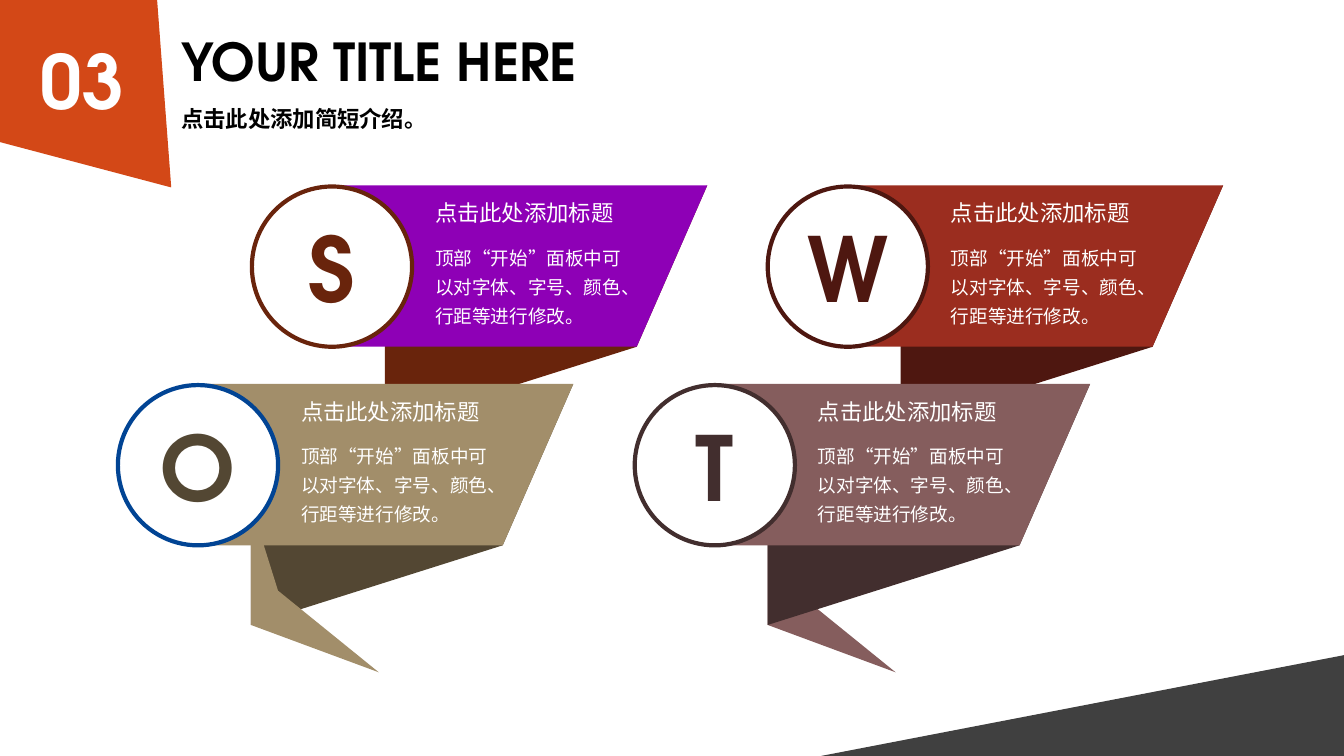
from pptx import Presentation
from pptx.dml.color import RGBColor
from pptx.enum.shapes import MSO_SHAPE
from pptx.enum.text import MSO_ANCHOR, MSO_AUTO_SIZE, PP_ALIGN
from pptx.util import Pt

WHITE = RGBColor(0xFF, 0xFF, 0xFF)
BLACK = RGBColor(0x00, 0x00, 0x00)
ORANGE = RGBColor(0xD3, 0x48, 0x17)
CHARCOAL = RGBColor(0x40, 0x40, 0x40)
PURPLE = RGBColor(0x8E, 0x00, 0xB6)
BROWN = RGBColor(0x69, 0x24, 0x0C)
RED = RGBColor(0x9B, 0x2D, 0x1F)
MAROON = RGBColor(0x4E, 0x17, 0x10)
SAND = RGBColor(0xA2, 0x8E, 0x6A)
OLIVE = RGBColor(0x53, 0x47, 0x33)
BLUE = RGBColor(0x01, 0x44, 0x94)
MAUVE = RGBColor(0x85, 0x5D, 0x5D)
PLUM = RGBColor(0x42, 0x2E, 0x2E)

HEADING = "点击此处添加标题"
BODY = "顶部“开始”面板中可以对字体、字号、颜色、行距等进行修改。"

MIDDLE = {"word_wrap": True, "vertical_anchor": MSO_ANCHOR.MIDDLE}
CENTER = {"alignment": PP_ALIGN.CENTER}

FOLD = [(132, 239), (382, 160), (452, 0), (132, 119)]
TAIL = [(132, 239), (259, 286), (159, 205), (132, 119)]
BANNER = [(80, 160), (382, 160), (452, 0), (80, 0)]

RIBBONS = [
    ("S", 250, 184, PURPLE, BROWN, BROWN, [FOLD, BANNER]),
    ("W", 762, 184, RED, MAROON, MAROON, [FOLD, BANNER]),
    ("O", 117, 381, SAND, OLIVE, BLUE, [FOLD, TAIL, BANNER]),
    ("T", 630, 381, MAUVE, PLUM, PLUM, [TAIL, FOLD, BANNER]),
]


class Deck:
    PX = 9144
    FONT = "TeX Gyre Adventor"

    def __init__(self, width, height):
        self.prs = Presentation()
        self.prs.slide_width = width * self.PX
        self.prs.slide_height = height * self.PX
        self.s = self.prs.slides.add_slide(self.prs.slide_layouts[6])

    def emu(self, *lengths):
        return [n * self.PX for n in lengths]

    def paint(self, sp, fill, line=None):
        sp.shadow.inherit = False
        sp.fill.solid()
        sp.fill.fore_color.rgb = fill
        if line is None:
            sp.line.fill.background()
        else:
            sp.line.color.rgb = line
            sp.line.width = Pt(3)
        return sp

    def polygon(self, points, fill, x=0, y=0):
        moved = [(x + dx, y + dy) for dx, dy in points]
        fb = self.s.shapes.build_freeform(*moved[0], scale=self.PX)
        fb.add_line_segments(moved[1:], close=True)
        return self.paint(fb.convert_to_shape(), fill)

    def preset(self, kind, box, fill, line=None):
        return self.paint(self.s.shapes.add_shape(kind, *self.emu(*box)), fill, line)

    def label(self, sp, text, size, color, frame=None, para=None, bold=False):
        tf = sp.text_frame
        p = tf.paragraphs[0]
        r = p.add_run()
        r.text = text
        r.font.color.rgb = color
        font = {"name": self.FONT, "size": Pt(size), "bold": bold}
        for target, fmt in ((tf, frame), (p, para), (r.font, font)):
            for name, value in (fmt or {}).items():
                setattr(target, name, value)

    def text(self, box, *args, **kwargs):
        self.label(self.s.shapes.add_textbox(*self.emu(*box)), *args, **kwargs)

    def ribbon(self, letter, x, y, face, shade, ring, parts):
        for part in parts:
            self.polygon(part, shade if part is FOLD else face, x, y)
        disc = self.preset(MSO_SHAPE.OVAL, (x, y + 1, 159, 159), WHITE, ring)
        self.label(disc, letter, 64, shade, MIDDLE, CENTER, bold=True)
        grow = {"auto_size": MSO_AUTO_SIZE.SHAPE_TO_FIT_TEXT}
        spacing = {"line_spacing": 1.3}
        self.text((x + 172, y + 49, 213, 98), BODY, 13.3, WHITE,
                  {"word_wrap": True, **grow}, spacing)
        self.text((x + 172, y + 1, 200, 45), HEADING, 16, WHITE,
                  {"word_wrap": False, **grow}, spacing)


def main():
    deck = Deck(1334, 750)
    deck.polygon([(0, 0), (156, 0), (170, 186), (0, 141)], ORANGE)
    wedge = deck.preset(MSO_SHAPE.RIGHT_TRIANGLE, (815, 650, 519, 100), CHARCOAL)
    wedge._element.spPr.xfrm.set("flipH", "1")
    deck.text((11, 3, 142, 153), "03", 53.3, WHITE, MIDDLE, CENTER, bold=True)
    deck.text((170, 19, 462, 82), "YOUR TITLE HERE", 37.3, BLACK, MIDDLE, bold=True)
    deck.text((170, 102, 462, 31), "点击此处添加简短介绍。", 16, BLACK, MIDDLE, bold=True)
    for ribbon in RIBBONS:
        deck.ribbon(*ribbon)
    deck.prs.save("out.pptx")


if __name__ == "__main__":
    main()
